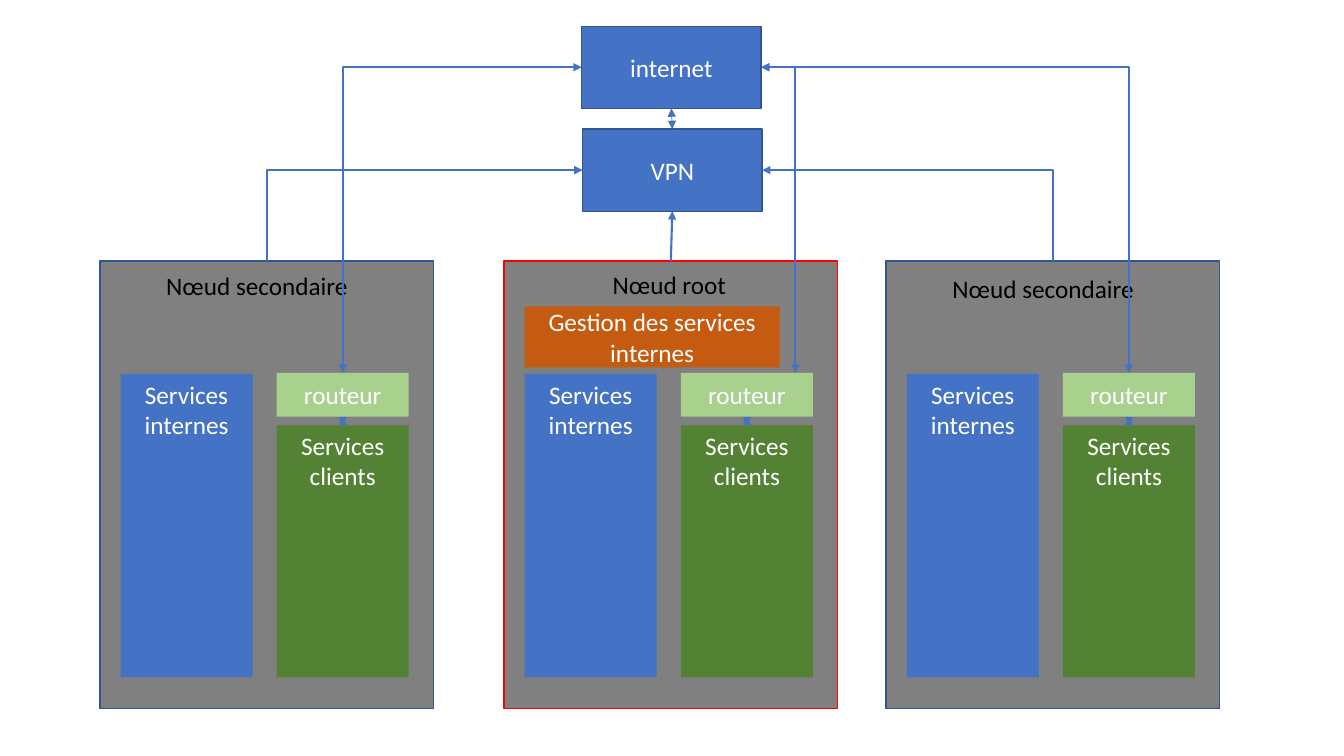
"""Draw the network of root and secondary nodes linked through VPN and internet."""
from dataclasses import dataclass

from lxml import etree
from pptx import Presentation
from pptx.dml.color import RGBColor
from pptx.enum.shapes import MSO_CONNECTOR, MSO_SHAPE
from pptx.enum.text import MSO_ANCHOR, PP_ALIGN
from pptx.oxml.ns import qn
from pptx.util import Inches, Pt

RECTANGLE = MSO_SHAPE.RECTANGLE
STRAIGHT, ELBOW = MSO_CONNECTOR.STRAIGHT, MSO_CONNECTOR.ELBOW
TOP, MIDDLE = MSO_ANCHOR.TOP, MSO_ANCHOR.MIDDLE
LEFT, CENTER = PP_ALIGN.LEFT, PP_ALIGN.CENTER
SITE_TOP, SITE_LEFT, SITE_BOTTOM, SITE_RIGHT = range(4)

COLORS = {
    "blue": "4472C4", "navy": "325491", "gray": "808080", "red": "FF0000",
    "orange": "C55A11", "green": "548235", "light": "A9D18E",
    "white": "FFFFFF", "black": "000000",
}

deck = Presentation()
deck.slide_width, deck.slide_height = Inches(13.33), Inches(7.5)
page = deck.slides.add_slide(deck.slide_layouts[6])
COLUMN, ROW = deck.slide_width / 100, deck.slide_height / 100


@dataclass
class Area:
    """Rectangle in columns and rows of the hundred-part page grid."""

    left: float
    top: float
    width: float
    height: float

    def frame(self) -> tuple[int, int, int, int]:
        """Return the rectangle in slide units."""
        return (round(self.left * COLUMN), round(self.top * ROW),
                round(self.width * COLUMN), round(self.height * ROW))


@dataclass
class Node:
    """One node card with its title and its links to the hubs."""

    left: float
    title: str
    title_offset: float
    title_top: float
    title_width: float
    border: str
    vpn_site: int
    internet_site: int
    link_column: float | None = None


NODES = [
    Node(37.5, "Nœud root", 7.35, 34.93, 10.28, "red", SITE_BOTTOM, SITE_RIGHT, 59.18),
    Node(7.43, "Nœud secondaire", 4.2, 35.07, 16.43, "navy", SITE_LEFT, SITE_LEFT),
    Node(65.93, "Nœud secondaire", 4.2, 35.47, 16.43, "navy", SITE_RIGHT, SITE_RIGHT),
]


def write(shape, text: str, color: str = "white", align=CENTER, anchor=MIDDLE,
          wrap: bool = True) -> None:
    """Fill a shape with one formatted paragraph."""
    frame = shape.text_frame
    frame.word_wrap, frame.vertical_anchor = wrap, anchor
    para = frame.paragraphs[0]
    para.alignment = align
    span = para.add_run()
    span.text = text
    span.font.name, span.font.size = "Calibri", Pt(18)
    span.font.color.rgb = RGBColor.from_string(COLORS[color])


def add_box(area: Area, fill: str, text: str = "", border: str = "", anchor=MIDDLE):
    """Add a filled rectangle with optional border and text."""
    box = page.shapes.add_shape(RECTANGLE, *area.frame())
    box.shadow.inherit = False
    box.fill.solid()
    box.fill.fore_color.rgb = RGBColor.from_string(COLORS[fill])
    if border:
        box.line.color.rgb = RGBColor.from_string(COLORS[border])
        box.line.width = Pt(1)
    else:
        box.line.fill.background()
    if text:
        write(box, text, anchor=anchor)
    return box


def add_link(start, start_site: int, end, end_site: int = SITE_TOP, kind=ELBOW,
             width: float = 1.5, both: bool = True, column: float | None = None) -> None:
    """Join two boxes, with an arrowhead at the start or at both ends."""
    link = page.shapes.add_connector(kind, 0, 0, 0, 0)
    link.begin_connect(start, start_site)
    if column is None:
        link.end_connect(end, end_site)
    else:
        link.end_x, link.end_y = round(column * COLUMN), end.top
    link.line.color.rgb = RGBColor.from_string(COLORS["blue"])
    link.line.width = Pt(width)
    properties = link._element.spPr
    if kind == ELBOW:
        properties.find(qn("a:prstGeom")).set("prst", "bentConnector2")
    outline = properties.find(qn("a:ln"))
    for tag in ("a:headEnd", "a:tailEnd") if both else ("a:headEnd",):
        etree.SubElement(outline, qn(tag)).set("type", "triangle")
    etree.SubElement(properties, qn("a:effectLst"))


def add_node(node: Node):
    """Draw a node card and return its card and its router."""
    inner, outer = node.left + 1.54, node.left + 13.16
    card = add_box(Area(node.left, 34.53, 24.83, 59.2), "gray", border=node.border)
    add_box(Area(inner, 49.47, 9.83, 40.13), "blue", "Services internes", anchor=TOP)
    clients = add_box(Area(outer, 56.27, 9.83, 33.33), "green", "Services clients", anchor=TOP)
    router = add_box(Area(outer, 49.33, 9.83, 5.8), "light", "routeur")
    add_link(router, SITE_BOTTOM, clients, kind=STRAIGHT, width=0.5)
    title = page.shapes.add_textbox(
        *Area(node.left + node.title_offset, node.title_top, node.title_width, 5.33).frame())
    write(title, node.title, color="black", align=LEFT, anchor=TOP, wrap=False)
    return card, router


def main() -> None:
    """Build the page and save the deck."""
    drawn = [(node, *add_node(node)) for node in NODES]
    add_box(Area(NODES[0].left + 1.54, 40.53, 18.98, 8.07), "orange",
            "Gestion des services internes")
    vpn = add_box(Area(43.35, 17.07, 13.35, 10.87), "blue", "VPN", border="navy")
    internet = add_box(Area(43.28, 3.47, 13.35, 10.87), "blue", "internet", border="navy")
    for node, card, router in drawn:
        kind = STRAIGHT if node.vpn_site == SITE_BOTTOM else ELBOW
        add_link(vpn, node.vpn_site, card, kind=kind, both=False)
        add_link(internet, node.internet_site, router, column=node.link_column)
    add_link(vpn, SITE_TOP, internet, SITE_BOTTOM, kind=STRAIGHT, width=0.5)
    deck.save("out.pptx")


main()
